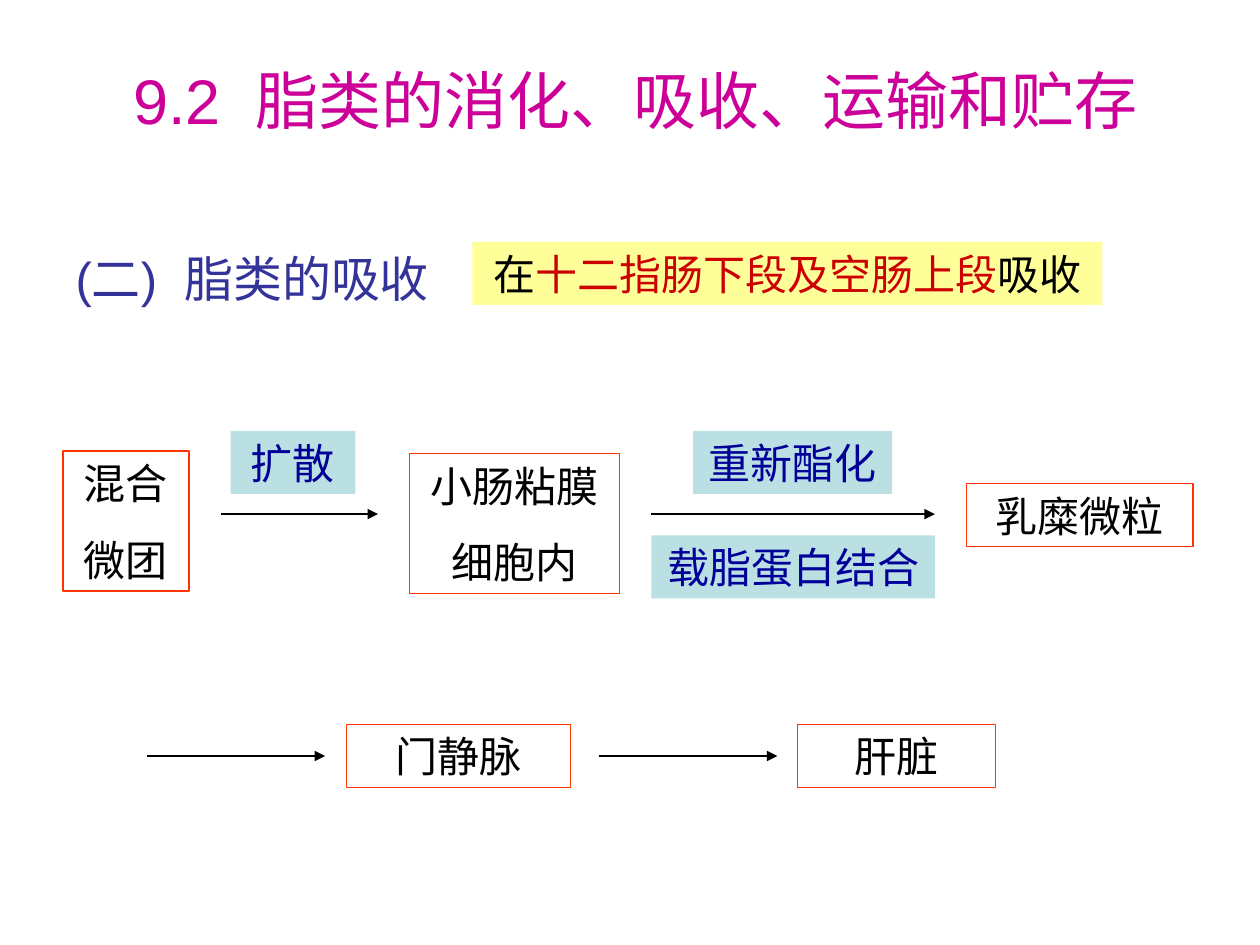
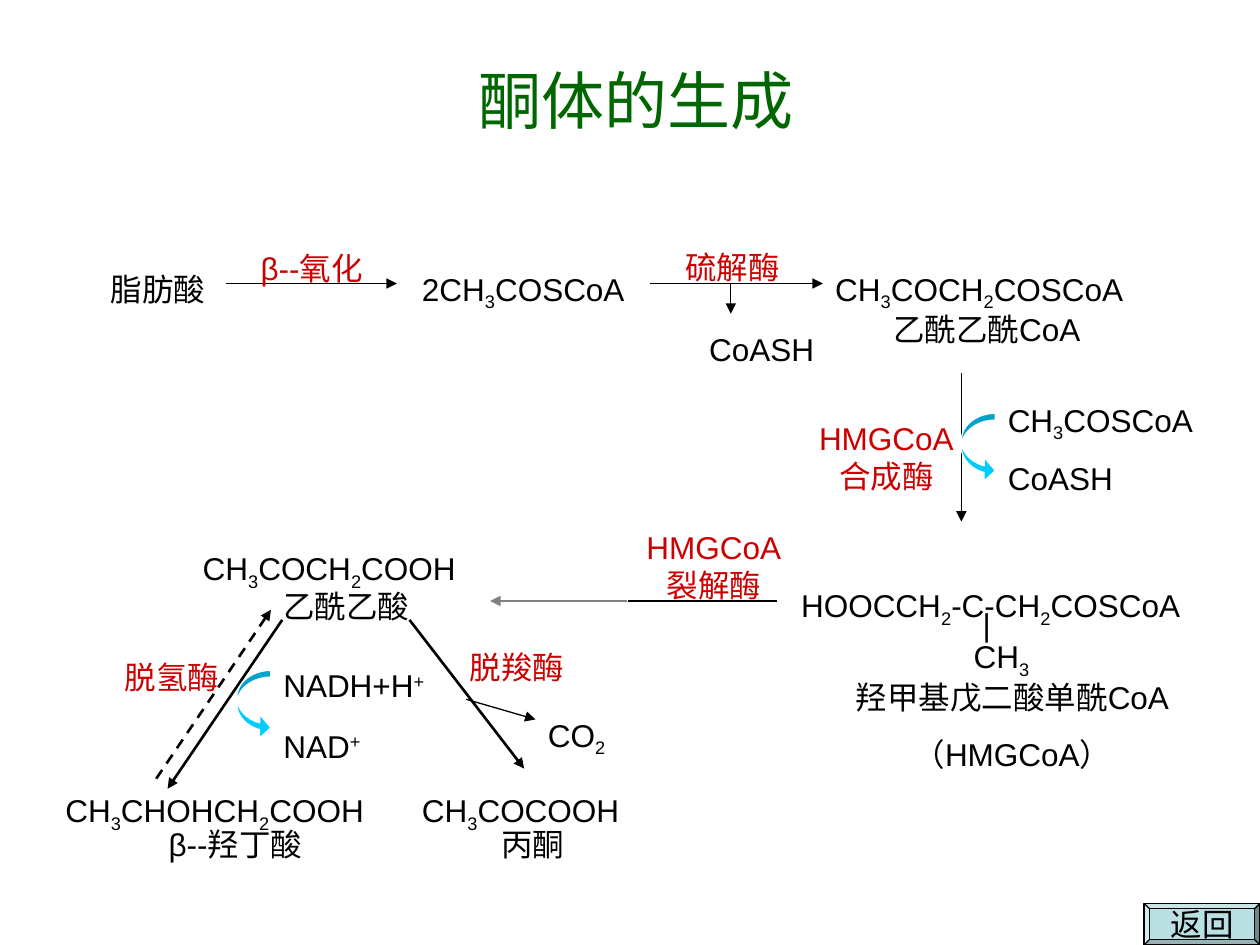
from lxml import etree
from pptx import Presentation
from pptx.dml.color import RGBColor
from pptx.enum.dml import MSO_LINE
from pptx.enum.shapes import MSO_CONNECTOR as CONNECTOR, MSO_SHAPE as SHAPE
from pptx.enum.text import MSO_ANCHOR as ANCHOR, MSO_AUTO_SIZE as AUTO, PP_ALIGN as ALIGN
from pptx.oxml.ns import qn
from pptx.util import Inches, Pt

FONT = "Arial"
COLORS = {
    "black": "000000", "white": "FFFFFF", "magenta": "CC0099", "green": "006600",
    "heading": "333399", "navy": "000099", "enzyme": "CC0000", "frame": "FF3300",
    "pale_blue": "BBE0E3", "yellow": "FFFF99", "cyan": "00CCFF",
}
BASELINES = {"_": "-25000", "^": "30000"}


def rgb(color):
    return RGBColor.from_string(COLORS[color])


def place(element, left, top, width, height):
    element.left, element.top = Inches(left), Inches(top)
    element.width, element.height = Inches(width), Inches(height)


def add_run(paragraph, text, size, color, baseline=None):
    run = paragraph.add_run()
    run.text = text
    run.font.name = FONT
    run.font.size = Pt(size)
    run.font.color.rgb = rgb(color)
    if baseline:
        run.font._element.set("baseline", baseline)


def add_formula(paragraph, formula, size, color):
    """Write parts split by "|"; a leading _ lowers a part and ^ raises it."""
    for part in formula.split("|"):
        baseline = BASELINES.get(part[0])
        add_run(paragraph, part[1:] if baseline else part, size, color, baseline)


def paragraphs(frame, count, align, gap):
    """Yield the paragraphs of a frame, with the gap between them only."""
    for index in range(count):
        paragraph = frame.add_paragraph() if index else frame.paragraphs[0]
        paragraph.alignment = align
        paragraph.space_before = Pt(gap if index else 0)
        yield paragraph


def add_title(slide, text, color):
    title = slide.shapes.title
    place(title, 0.42, 0.33, 9.25, 0.92)
    title.text_frame.vertical_anchor = ANCHOR.MIDDLE
    for paragraph in paragraphs(title.text_frame, 1, ALIGN.CENTER, 0):
        add_run(paragraph, text, 36, color)


def add_heading(slide, text):
    heading = slide.placeholders[1]
    place(heading, 0.5, 1.92, 3.42, 0.58)
    for paragraph in paragraphs(heading.text_frame, 1, ALIGN.LEFT, 0):
        properties = paragraph._p.get_or_add_pPr()
        properties.set("marL", str(Inches(0.38)))
        properties.set("indent", str(-Inches(0.38)))
        etree.SubElement(properties, qn("a:buNone"))
        add_run(paragraph, text, 28, "heading")


def add_preset(slide, preset, at, fill=None, line=None):
    shape = slide.shapes.add_shape(preset, *map(Inches, at))
    shape.shadow.inherit = False
    if fill:
        shape.fill.solid()
        shape.fill.fore_color.rgb = rgb(fill)
    else:
        shape.fill.background()
    if line:
        shape.line.color.rgb = rgb(line)
        shape.line.width = Pt(0.75)
    else:
        shape.line.fill.background()
    return shape


def add_step(slide, at, lines, fill=None, line=None, color="black"):
    """Box of centred lines; each line is a list of (text, color) or a string."""
    frame = add_preset(slide, SHAPE.RECTANGLE, at, fill, line).text_frame
    frame.word_wrap = True
    frame.auto_size = AUTO.SHAPE_TO_FIT_TEXT
    frame.vertical_anchor = ANCHOR.MIDDLE
    for paragraph, content in zip(paragraphs(frame, len(lines), ALIGN.CENTER, 15), lines):
        parts = [(content, color)] if isinstance(content, str) else content
        for text, part_color in parts:
            add_run(paragraph, text, 24, part_color)


def add_label(slide, at, *lines, color="black", align=ALIGN.LEFT, inset=0.1):
    frame = slide.shapes.add_textbox(*map(Inches, at)).text_frame
    frame.word_wrap = True
    frame.auto_size = AUTO.SHAPE_TO_FIT_TEXT
    frame.margin_left = frame.margin_right = Inches(inset)
    frame.margin_top = frame.margin_bottom = Inches(inset / 2)
    for paragraph, formula in zip(paragraphs(frame, len(lines), align, 11.2), lines):
        add_formula(paragraph, formula, 18, color)
    return frame


def add_arrow(slide, start, end, width=0.75, dashed=False):
    arrow = slide.shapes.add_connector(CONNECTOR.STRAIGHT, *map(Inches, start + end))
    arrow.line.color.rgb = rgb("black")
    arrow.line.width = Pt(width)
    if dashed:
        arrow.line.dash_style = MSO_LINE.DASH
    etree.SubElement(arrow.line._get_or_add_ln(), qn("a:tailEnd"), type="triangle")
    etree.SubElement(arrow._element.spPr, qn("a:effectLst"))


def add_exchange(slide, left, top):
    """Curved arrow for a cofactor that enters and leaves a reaction."""
    curve = add_preset(slide, SHAPE.CURVED_RIGHT_ARROW, (left, top, 0.27, 0.55), "cyan", "white")
    for index, value in enumerate((0.2, 0.7, 0.33)):
        curve.adjustments[index] = value


def add_veil(slide, at):
    veil = add_preset(slide, SHAPE.RECTANGLE, at, "white", "white")
    fill_color = veil._element.spPr.find(qn("a:solidFill"))[0]
    etree.SubElement(fill_color, qn("a:alpha"), val="50000")


def add_return_button(slide):
    button = add_preset(slide, SHAPE.BEVEL, (9.08, 7.17, 0.92, 0.33), "pale_blue", "black")
    button.adjustments[0] = 0.125
    frame = button.text_frame
    frame.word_wrap = False
    frame.vertical_anchor = ANCHOR.MIDDLE
    for paragraph in paragraphs(frame, 1, ALIGN.CENTER, 0):
        add_run(paragraph, "返回", 18, "black")


def build_absorption(prs):
    slide = prs.slides.add_slide(prs.slide_layouts[1])
    add_title(slide, "9.2  脂类的消化、吸收、运输和贮存", "magenta")
    add_heading(slide, "(二)  脂类的吸收")
    site = [("在", "black"), ("十二指肠下段及空肠上段", "enzyme"), ("吸收", "black")]
    add_step(slide, (3.75, 1.92, 5, 0.5), [site], fill="yellow")

    # Stations along the route
    for at, lines in (
        ((0.5, 3.58, 1, 1.11), ["混合", "微团"]),
        ((3.25, 3.6, 1.67, 1.11), ["小肠粘膜", "细胞内"]),
        ((7.67, 3.84, 1.8, 0.5), ["乳糜微粒"]),
        ((2.75, 5.75, 1.78, 0.5), ["门静脉"]),
        ((6.33, 5.75, 1.57, 0.5), ["肝脏"]),
    ):
        add_step(slide, at, lines, line="frame")

    # Processes beside the arrows
    for at, process in (
        ((1.83, 3.42, 0.99, 0.5), "扩散"),
        ((5.5, 3.42, 1.58, 0.5), "重新酯化"),
        ((5.17, 4.25, 2.25, 0.5), "载脂蛋白结合"),
    ):
        add_step(slide, at, [process], fill="pale_blue", color="navy")

    for start, end, y in ((1.75, 3, 4.08), (5.17, 7.42, 4.08), (1.17, 2.58, 6), (4.75, 6.17, 6)):
        add_arrow(slide, (start, y), (end, y), 1)


def build_ketone_bodies(prs):
    slide = prs.slides.add_slide(prs.slide_layouts[5])
    add_title(slide, "酮体的生成", "green")

    # Fatty acid to HMGCoA
    for start, end in (
        ((1.79, 2.25), (3.15, 2.25)),
        ((5.16, 2.25), (6.53, 2.25)),
        ((5.8, 2.25), (5.8, 2.49)),
        ((7.63, 2.96), (7.63, 4.14)),
        ((6.17, 4.77), (3.89, 4.77)),
    ):
        add_arrow(slide, start, end)
    for at, formula in (
        ((0.78, 2.09, 1.64, 0.4), "脂肪酸"),
        ((3.25, 2.09, 2.28, 0.44), "2CH|_3|COSCoA"),
        ((5.53, 2.57, 1.09, 0.4), "CoASH"),
        ((6.53, 2.09, 2.65, 0.44), "CH|_3|COCH|_2|COSCoA"),
        ((6.99, 2.41, 2.28, 0.4), "乙酰乙酰CoA"),
        ((7.9, 3.13, 1.83, 0.44), "CH|_3|COSCoA"),
        ((7.9, 3.59, 1.09, 0.4), "CoASH"),
        ((6.26, 4.6, 3.74, 0.44), "HOOCCH|_2|-C-CH|_2|COSCoA"),
    ):
        add_label(slide, at, formula)
    add_label(slide, (6.62, 5.33, 2.83, 0.86), "羟甲基戊二酸单酰CoA", "（HMGCoA）",
              align=ALIGN.CENTER)
    add_exchange(slide, 7.63, 3.28)

    # Methyl branch: a bond above CH3
    branch = slide.shapes.add_textbox(*map(Inches, (7.63, 4.93, 1, 0.45))).text_frame
    branch.word_wrap = True
    bond, methyl = paragraphs(branch, 2, ALIGN.LEFT, 11.2)
    bond.line_spacing = methyl.line_spacing = 0.3
    bond._p.get_or_add_pPr().set("marL", str(Inches(0.07)))
    add_run(bond, "|", 18, "black")
    add_formula(methyl, "CH|_3", 18, "black")

    # Enzymes of the first part
    add_label(slide, (1.97, 1.93, 1.46, 0.4), "β--氧化", color="enzyme")
    add_label(slide, (5.34, 1.92, 1.64, 0.4), "硫解酶", color="enzyme")
    for left, top, enzyme in ((4.98, 4.14, "HMGCoA裂解酶"), (6.35, 3.28, "HMGCoA合成酶")):
        add_label(slide, (left, top, 1.37, 0.7), enzyme, color="enzyme", align=ALIGN.CENTER)

    # Acetoacetate and its products
    add_veil(slide, (0.51, 4.21, 4.47, 2.6))
    for at, formula in (
        ((1.51, 4.31, 2.65, 0.44), "CH|_3|COCH|_2|COOH"),
        ((2.15, 4.61, 1.46, 0.4), "乙酰乙酸"),
        ((0.42, 6.23, 2.92, 0.44), "CH|_3|CHOHCH|_2|COOH"),
        ((1.24, 6.5, 1.46, 0.4), "β--羟丁酸"),
        ((3.25, 6.23, 2.19, 0.44), "CH|_3|COCOOH"),
        ((3.88, 6.5, 1, 0.4), "丙酮"),
        ((4.25, 5.63, 0.82, 0.44), "CO|_2"),
        ((2.15, 5.24, 1.82, 0.4), "NADH+H|^+"),
        ((2.15, 5.72, 1.09, 0.4), "NAD|^+"),
    ):
        add_label(slide, at, formula)
    add_arrow(slide, (3.25, 4.92), (4.16, 6.1), 1.5)
    add_arrow(slide, (2.24, 4.92), (1.33, 6.26), 1.5)
    add_arrow(slide, (1.24, 6.18), (2.15, 4.84), 1.5, dashed=True)
    add_arrow(slide, (3.7, 5.55), (4.25, 5.71))
    add_exchange(slide, 1.88, 5.32)
    for left, top, enzyme in ((0.87, 5.16, "脱氢酶"), (3.61, 5.08, "脱羧酶")):
        add_label(slide, (left, top, 1.19, 0.42), enzyme, color="enzyme", inset=0.12)

    add_return_button(slide)


def main():
    prs = Presentation()
    prs.slide_width, prs.slide_height = Inches(10), Inches(7.5)
    build_absorption(prs)
    build_ketone_bodies(prs)
    prs.save("out.pptx")


if __name__ == "__main__":
    main()
